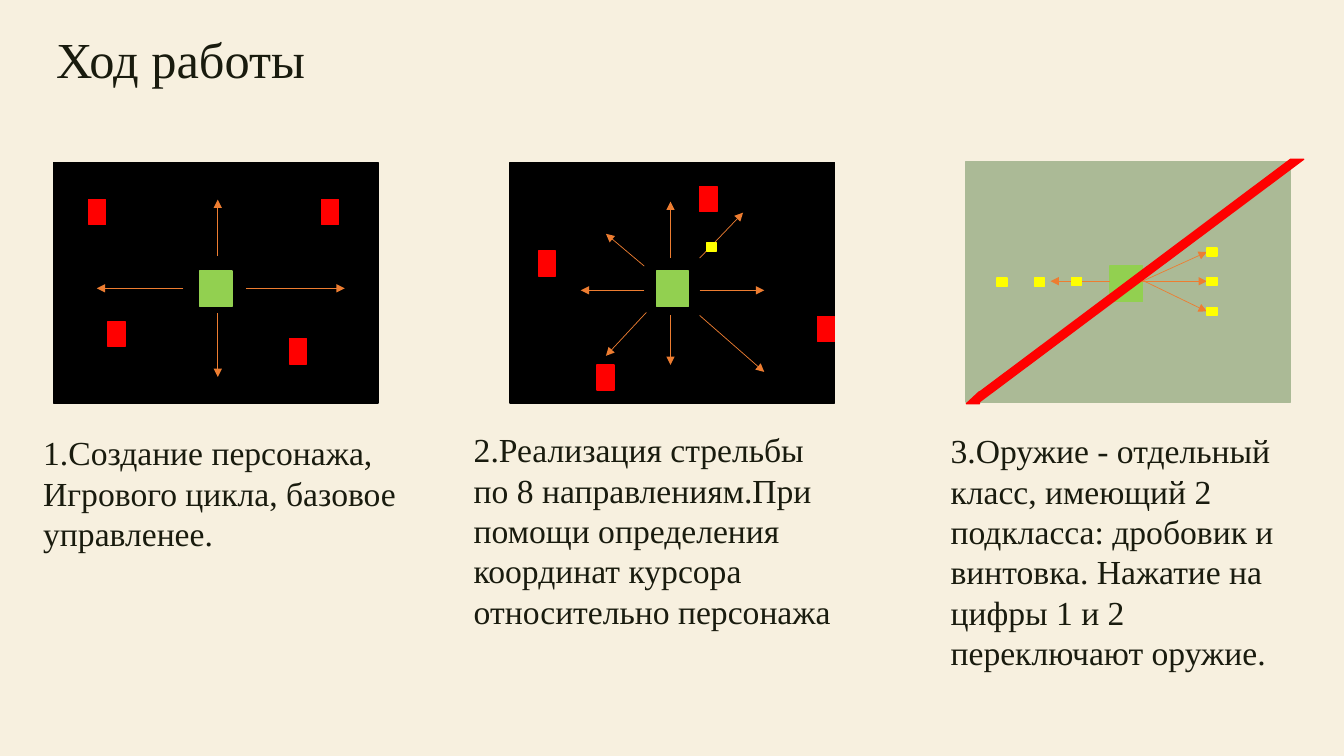
from pptx import Presentation
from pptx.dml.color import RGBColor
from pptx.enum.shapes import MSO_CONNECTOR, MSO_SHAPE
from pptx.enum.text import MSO_AUTO_SIZE
from pptx.oxml.ns import qn
from pptx.util import Inches, Pt
from lxml import etree

RECT = MSO_SHAPE.RECTANGLE
STRIPE = MSO_SHAPE.DIAGONAL_STRIPE
CORNER = MSO_SHAPE.RIGHT_TRIANGLE
LINE = MSO_CONNECTOR.STRAIGHT
FIT = MSO_AUTO_SIZE.SHAPE_TO_FIT_TEXT
FONT = "Times New Roman"
COLORS = {
    "back": "F7F0DF", "text": "191B0E", "dark": "000000", "sage": "ABBA96",
    "hero": "92D050", "foe": "FF0000", "shot": "FFFF00", "arrow": "ED7D31",
}
SIZES = {"hero": (0.32, 0.35), "foe": (0.17, 0.25), "shot": (0.1, 0.08)}
PANEL = (3.22, 2.39)

STEPS = [
    {
        "at": (0.53, 1.61), "fill": "dark",
        "hero": [(1.45, 1.08)],
        "foe": [(2.66, 0.37), (2.34, 1.75), (0.35, 0.37), (0.54, 1.58)],
        "shot": [],
        "arrows": [(1.91, 1.25, 2.89, 1.25), (1.29, 1.25, 0.43, 1.25),
                   (1.63, 0.93, 1.63, 0.37), (1.63, 1.5, 1.63, 2.13)],
        "box": (0.33, 4.24, 4.22, 1.31),
        "text": ["1.Создание персонажа,",
                 "Игрового цикла, базовое управленее."],
    },
    {
        "at": (5.06, 1.61), "fill": "dark",
        "hero": [(1.45, 1.08)],
        "foe": [(3.05, 1.53), (1.88, 0.24), (0.28, 0.88), (0.86, 2.01)],
        "shot": [(1.95, 0.8)],
        "arrows": [(1.88, 1.27, 2.52, 1.27), (1.33, 1.03, 0.95, 0.71),
                   (1.59, 0.95, 1.59, 0.39), (1.59, 1.52, 1.59, 2.01),
                   (1.88, 1.52, 2.52, 2.08), (1.33, 1.27, 0.7, 1.27),
                   (1.88, 0.95, 2.31, 0.5), (1.35, 1.49, 0.95, 1.92)],
        "box": (4.6, 4.21, 4.68, 2.12),
        "text": ["2.Реализация стрельбы",
                 "по 8 направлениям.При помощи определения координат курсора "
                 "относительно персонажа"],
    },
    {
        "at": (9.58, 1.6), "fill": "sage",
        "hero": [(1.43, 1.04)],
        "foe": [],
        "shot": [(2.39, 0.86), (2.39, 1.15), (2.39, 1.45),
                 (1.05, 1.15), (0.68, 1.16), (0.31, 1.16)],
        "arrows": [(1.75, 1.19, 2.39, 1.19), (1.75, 1.19, 2.39, 0.9),
                   (1.77, 1.19, 2.39, 1.49), (1.43, 1.19, 0.84, 1.19)],
        "box": (9.33, 4.22, 3.78, 2.52),
        "text": ["3.Оружие - отдельный класс, имеющий 2 подкласса: дробовик и "
                 "винтовка. Нажатие на цифры 1 и 2 переключают оружие."],
    },
]


def color(name):
    return RGBColor.from_string(COLORS[name])


def add_block(slide, box, name, kind=RECT):
    block = slide.shapes.add_shape(kind, *map(Inches, box))
    block.shadow.inherit = False
    block.fill.solid()
    block.fill.fore_color.rgb = color(name)
    block.line.color.rgb = color(name)
    block.line.width = Pt(1)
    return block


def add_arrow(slide, ends):
    arrow = slide.shapes.add_connector(LINE, *map(Inches, ends))
    arrow.line.color.rgb = color("arrow")
    arrow.line.width = Pt(0.5)
    tip = etree.SubElement(arrow.line._get_or_add_ln(), qn("a:tailEnd"))
    tip.set("type", "triangle")
    etree.SubElement(arrow._element.spPr, qn("a:effectLst"))


def add_text(slide, box, lines, size, wrap=True):
    frame = slide.shapes.add_textbox(*map(Inches, box)).text_frame
    frame.word_wrap = wrap
    frame.auto_size = FIT
    frame.text = "\n".join(lines)
    for para in frame.paragraphs:
        para.font.name = FONT
        para.font.size = Pt(size)
        para.font.color.rgb = color("text")


def add_scene(slide, step):
    left, top = step["at"]
    add_block(slide, (left, top, *PANEL), step["fill"])
    for name in ("hero", "foe"):
        for x, y in step[name]:
            add_block(slide, (left + x, top + y, *SIZES[name]), name)
    for x1, y1, x2, y2 in step["arrows"]:
        add_arrow(slide, (left + x1, top + y1, left + x2, top + y2))
    for x, y in step["shot"]:
        add_block(slide, (left + x, top + y, *SIZES["shot"]), "shot")


def add_strike(slide, left, top):
    stripe = add_block(slide, (left + 0.13, top - 0.02, 3.22, 2.41), "foe", STRIPE)
    stripe.adjustments[0] = 0.96
    corner = add_block(slide, (left + 0.01, top + 2.28, 0.12, 0.13), "foe", CORNER)
    corner.rotation = 270


def main():
    deck = Presentation()
    deck.slide_width = Inches(13.33)
    deck.slide_height = Inches(7.5)
    slide = deck.slides.add_slide(deck.slide_layouts[6])
    slide.background.fill.solid()
    slide.background.fill.fore_color.rgb = color("back")
    add_text(slide, (0.46, 0.23, 2.7, 0.71), ["Ход работы"], 36, False)
    for step in STEPS:
        add_scene(slide, step)
        add_text(slide, step["box"], step["text"], 24)
    add_strike(slide, *STEPS[-1]["at"])
    deck.save("out.pptx")


if __name__ == "__main__":
    main()
